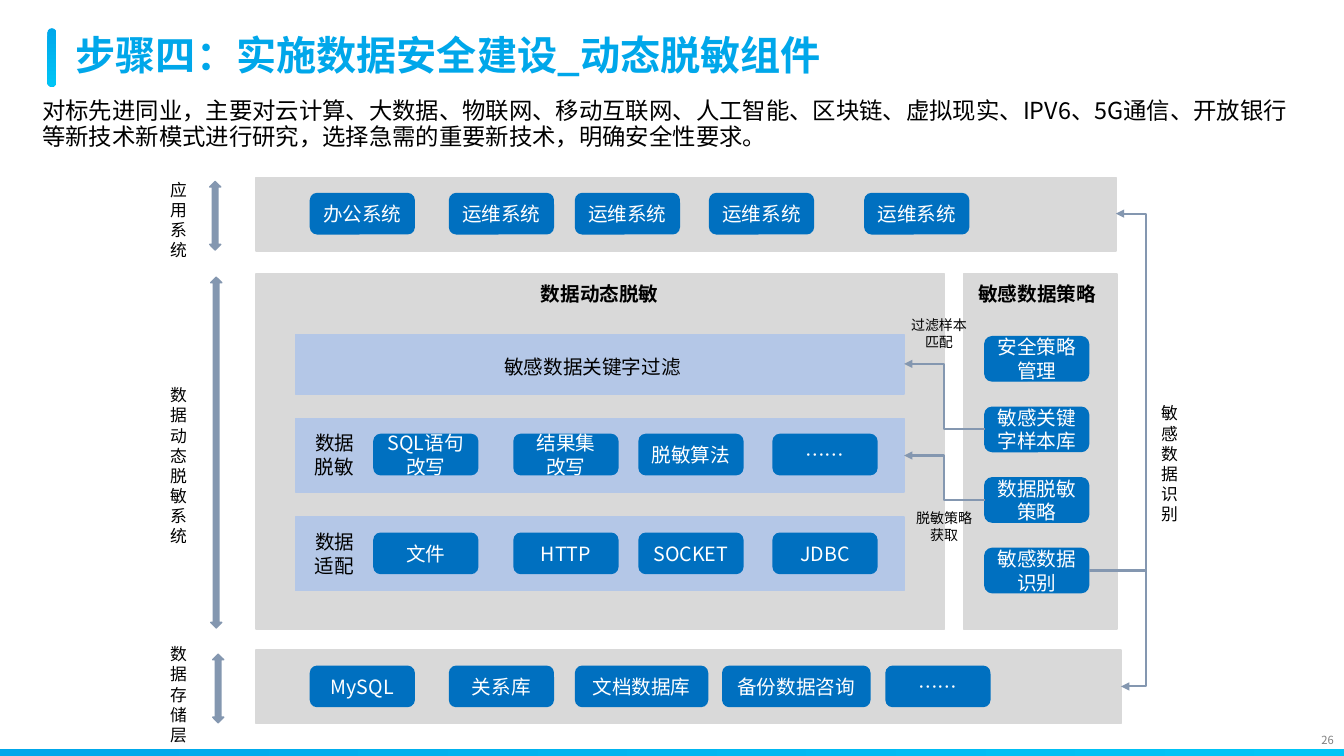
from lxml import etree
from pptx import Presentation
from pptx.dml.color import RGBColor
from pptx.enum.shapes import MSO_CONNECTOR, MSO_SHAPE
from pptx.enum.text import MSO_ANCHOR, MSO_AUTO_SIZE, PP_ALIGN
from pptx.oxml.ns import qn
from pptx.util import Inches, Pt

RECTANGLE, ROUNDED = MSO_SHAPE.RECTANGLE, MSO_SHAPE.ROUNDED_RECTANGLE
DOUBLE_ARROW = MSO_SHAPE.UP_DOWN_ARROW
ELBOW = MSO_CONNECTOR.ELBOW
LEFT, CENTER, RIGHT = PP_ALIGN.LEFT, PP_ALIGN.CENTER, PP_ALIGN.RIGHT
MIDDLE = MSO_ANCHOR.MIDDLE
NO_AUTO_SIZE = MSO_AUTO_SIZE.NONE

FONT = "Noto Sans CJK SC"
BLACK = RGBColor(0x00, 0x00, 0x00)
WHITE = RGBColor(0xFF, 0xFF, 0xFF)
GRAY = RGBColor(0x80, 0x80, 0x80)
PANEL = RGBColor(0xD9, 0xD9, 0xD9)
BAND = RGBColor(0xB4, 0xC7, 0xE7)
BLUE = RGBColor(0x00, 0x70, 0xC0)
STEEL = RGBColor(0x84, 0x97, 0xB0)
SKY = RGBColor(0x00, 0xA7, 0xEA)
CYAN = RGBColor(0x00, 0xC5, 0xF6)

# All places are columns and rows of a grid with square cells.
CELL = Inches(0.1)
COLUMNS, ROWS = 133.33, 75
PANEL_LEFT, BAND_LEFT = 25.4, 29.3
BAND_WIDTH, LAYER_HEIGHT = 60.4, 7.3
PILL_WIDTH, PILL_HEIGHT, PILL_INSET = 10.3, 4, 1.6
POLICY_LEFT, POLICY_TOP, POLICY_STEP, POLICY_HEIGHT = 97.7, 33.4, 7, 4.4


def cells(*counts):
    return [round(count * CELL) for count in counts]


def blend(fill, angle):
    """Fill with the sky-to-cyan gradient of the theme."""
    fill.gradient()
    fill.gradient_angle = angle
    for stop, color in zip(fill.gradient_stops, (SKY, CYAN)):
        stop.color.rgb = color


def write(frame, text, size, color=BLACK, align=CENTER, bold=False, spacing=None):
    """Write one paragraph for each line of the text; return the last span."""
    frame.word_wrap = True
    for index, line in enumerate(text.split("\n")):
        para = frame.add_paragraph() if index else frame.paragraphs[0]
        para.alignment = align
        para.line_spacing = spacing
        span = para.add_run()
        span.text = line
        span.font.size = Pt(size)
        span.font.bold = bold
        span.font.color.rgb = color
        span.font.name = FONT
        etree.SubElement(span.font._element, qn("a:ea"), typeface=FONT)
    return span


def add_block(page, kind, place, color):
    block = page.shapes.add_shape(kind, *cells(*place))
    block.shadow.inherit = False
    block.fill.solid()
    block.fill.fore_color.rgb = color
    block.line.color.rgb = color
    block.line.width = Pt(1)
    return block


def add_accent(page, kind, place, angle):
    accent = add_block(page, kind, place, SKY)
    accent.line.fill.background()
    blend(accent.fill, angle)
    return accent


def add_pill(page, text, left, top, width=PILL_WIDTH, height=PILL_HEIGHT):
    pill = add_block(page, ROUNDED, (left, top, width, height), BLUE)
    pill.text_frame.vertical_anchor = MIDDLE
    write(pill.text_frame, text, 14, WHITE)


def add_label(page, text, place, size, **style):
    label = page.shapes.add_textbox(*cells(*place))
    write(label.text_frame, text, size, **style)
    return label.text_frame


def add_layer(page, place, color, pills):
    """Draw a band with a row of pills given as (text, left[, width])."""
    add_block(page, RECTANGLE, place, color)
    for text, left, *width in pills:
        add_pill(page, text, left, place[1] + PILL_INSET, *width)


def add_elbow(page, start, end, turn):
    """Draw an arrow that runs vertically at the column named turn."""
    arrow = page.shapes.add_connector(ELBOW, *cells(*start, *end))
    arrow.line.color.rgb = STEEL
    arrow.line.width = Pt(1.5)
    properties = arrow._element.spPr
    etree.SubElement(arrow.line._get_or_add_ln(), qn("a:tailEnd"), type="triangle")
    etree.SubElement(properties, qn("a:effectLst"))
    bend = round(100000 * (turn - start[0]) / (end[0] - start[0]))
    guides = properties.find(qn("a:prstGeom")).get_or_add_avLst()
    etree.SubElement(guides, qn("a:gd"), name="adj1", fmla=f"val {bend}")


def add_heading(page):
    bar = add_accent(page, ROUNDED, (4.7, 2.8, 0.9, 5.8), 270)
    bar.adjustments[0] = 0.5
    add_accent(page, RECTANGLE, (0, 74.3, COLUMNS, 0.75), 0)
    title = page.shapes.title
    title.left, title.top, title.width, title.height = cells(6.5, 3.1, 104.2, 5.3)
    title.text_frame.auto_size = NO_AUTO_SIZE
    title.text_frame.vertical_anchor = MIDDLE
    span = write(title.text_frame, "步骤四：实施数据安全建设_动态脱敏组件", 28.7, SKY,
                 LEFT, bold=True, spacing=0.9)
    blend(span.font.fill, 270)
    summary = add_label(
        page,
        "对标先进同业，主要对云计算、大数据、物联网、移动互联网、人工智能、区块链、虚拟现实、"
        "IPV6、5G通信、开放银行等新技术新模式进行研究，选择急需的重要新技术，明确安全性要求。",
        (4.2, 9.9, 125, 10.4), 16.7, align=LEFT, spacing=0.9)
    summary.margin_left = summary.margin_right = 0
    summary.margin_top = summary.margin_bottom = 0
    add_label(page, "26", (122.4, 72.3, 10.9, 2.3), 8, color=GRAY, align=RIGHT)


def add_masking_panel(page):
    add_block(page, RECTANGLE, (PANEL_LEFT, 27.2, 68.3, 35.2), PANEL)
    add_label(page, "数据动态脱敏", (49.7, 27.5, 19.6, 3.4), 14, bold=True)
    add_block(page, RECTANGLE, (BAND_LEFT, 33.2, BAND_WIDTH, 5.9), BAND)
    add_label(page, "敏感数据关键字过滤", (43.5, 34.7, 30.6, 3.4), 14)
    lefts = (37.1, 51, 63.4, 76.7)
    bands = (
        ("数据脱敏", 41.5, ("SQL语句改写", "结果集\n改写", "脱敏算法", "……")),
        ("数据适配", 51.3, ("文件", "HTTP", "SOCKET", "JDBC")),
    )
    for name, top, texts in bands:
        add_layer(page, (BAND_LEFT, top, BAND_WIDTH, LAYER_HEIGHT), BAND,
                  zip(texts, lefts))
        add_label(page, name, (30.1, top + 0.8, 6.2, 5.7), 14)


def add_policy_panel(page):
    add_block(page, RECTANGLE, (95.6, 27.2, 15.2, 35.2), PANEL)
    add_label(page, "敏感数据策略", (93.1, 27.5, 19.6, 3.4), 14, bold=True)
    policies = ("安全策略管理", "敏感关键字样本库", "数据脱敏策略", "敏感数据识别")
    for index, text in enumerate(policies):
        add_pill(page, text, POLICY_LEFT, POLICY_TOP + index * POLICY_STEP,
                 height=POLICY_HEIGHT)


def add_side_labels(page):
    layers = (
        ("应用系统", 17.3, 9.1, 20.8, 18, 6.8),
        ("数据动态脱敏系统", 37.7, 17.2, 20.9, 27.5, 34.8),
        ("数据存储层", 63.4, 11.1, 21.1, 64.9, 6.8),
    )
    for text, top, height, arrow_left, arrow_top, arrow_height in layers:
        add_label(page, text, (15.9, top, 3.3, height), 12)
        add_block(page, DOUBLE_ARROW, (arrow_left, arrow_top, 1.1, arrow_height), STEEL)
    add_label(page, "敏感数据识别", (114.2, 39.5, 3.3, 13.1), 12)


def add_flows(page):
    samples, strategy, detection = (
        POLICY_TOP + index * POLICY_STEP + POLICY_HEIGHT / 2 for index in (1, 2, 3))
    band_right = BAND_LEFT + BAND_WIDTH
    add_elbow(page, (POLICY_LEFT, samples), (band_right, 36.1), 93.7)
    add_elbow(page, (POLICY_LEFT, strategy), (band_right, 45.2), 93.7)
    for end in ((111.2, 68.1), (110.7, 21.2)):
        add_elbow(page, (POLICY_LEFT + PILL_WIDTH, detection), end, 113.7)
    add_label(page, "过滤样本匹配", (89.2, 30.9, 7.9, 4.4), 10)
    add_label(page, "脱敏策略获取", (89.7, 50.1, 7.9, 4.4), 10)


def main():
    deck = Presentation()
    deck.slide_width, deck.slide_height = cells(COLUMNS, ROWS)
    page = deck.slides.add_slide(deck.slide_layouts.get_by_name("Title Only"))
    add_heading(page)
    operations = [("运维系统", left) for left in (44.6, 57.1, 70.4, 85.8)]
    add_layer(page, (PANEL_LEFT, 17.6, 85.3, LAYER_HEIGHT), PANEL,
              [("办公系统", 30.8), *operations])
    add_policy_panel(page)
    add_masking_panel(page)
    add_layer(page, (PANEL_LEFT, 64.5, 85.8, LAYER_HEIGHT), PANEL,
              [("MySQL", 30.8), ("关系库", 44.6), ("文档数据库", 57.1, 13.1),
               ("备份数据咨询", 71.7, 14.6), ("……", 87.9)])
    add_side_labels(page)
    add_flows(page)
    deck.save("out.pptx")


if __name__ == "__main__":
    main()
